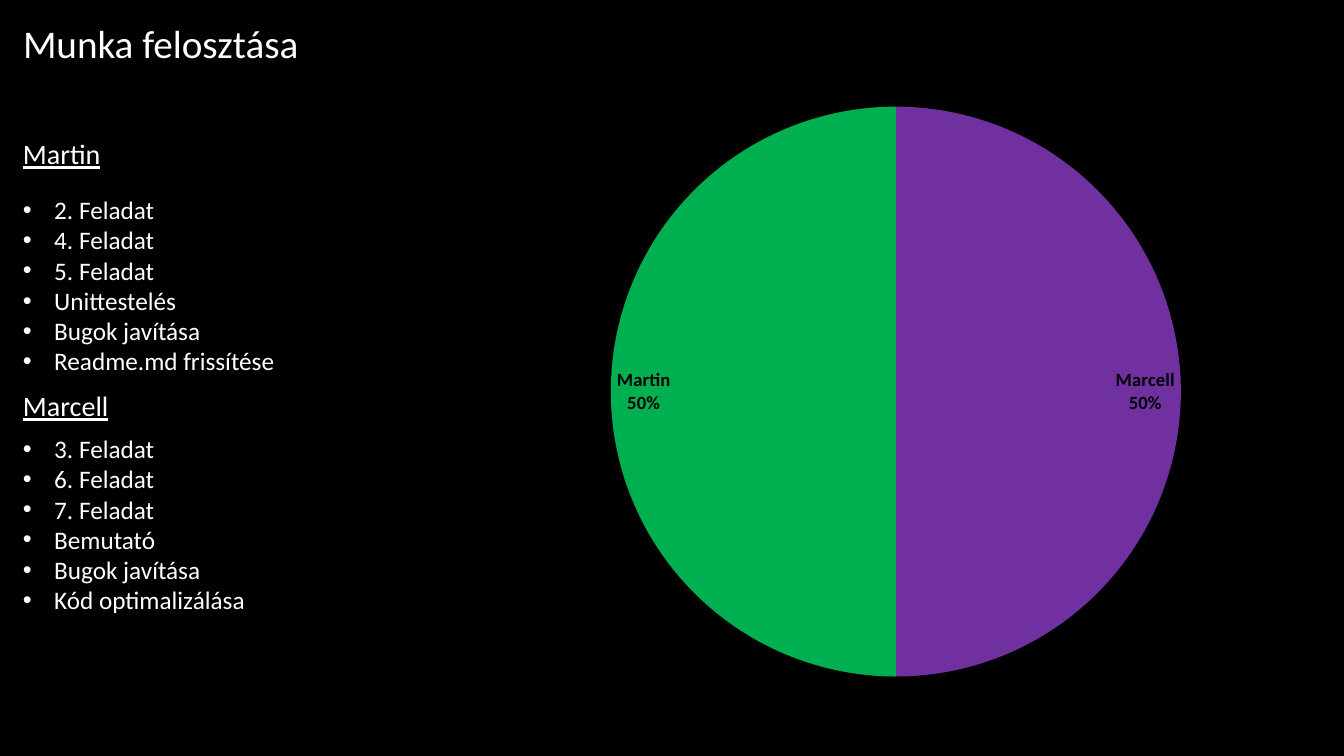
from lxml.etree import SubElement
from pptx import Presentation
from pptx.chart.data import CategoryChartData
from pptx.dml.color import RGBColor
from pptx.enum.chart import XL_CHART_TYPE, XL_LABEL_POSITION
from pptx.oxml.ns import qn
from pptx.util import Inches, Pt


def color(code):
    return RGBColor.from_string(code)


class Deck:
    font = "Calibri"
    ink = "FFFFFF"
    back = "000000"

    def __init__(self):
        self.file = Presentation()
        self.file.slide_width = Inches(13.33)
        self.file.slide_height = Inches(7.5)
        self.slide = self.file.slides.add_slide(self.file.slide_layouts[6])
        fill = self.slide.background.fill
        fill.solid()
        fill.fore_color.rgb = color(self.back)

    def style(self, font, size, code, bold=False):
        font.name = self.font
        font.size = Pt(size)
        font.bold = bold
        font.color.rgb = color(code)

    def text(self, words, top, width, height, size, line=False):
        box = self.slide.shapes.add_textbox(
            Inches(0.13), Inches(top), Inches(width), Inches(height))
        frame = box.text_frame
        frame.word_wrap = True
        frame.text = words
        for para in frame.paragraphs:
            for run in para.runs:
                self.style(run.font, size, self.ink)
                run.font.underline = line
        return frame

    def bullets(self, items, top, width):
        frame = self.text("\n".join(items), top, width, 1.92, 18)
        for para in frame.paragraphs:
            props = para._p.get_or_add_pPr()
            props.set("marL", str(Inches(0.31)))
            props.set("indent", str(-Inches(0.31)))
            SubElement(props, qn("a:buFont")).set("typeface", "Arial")
            SubElement(props, qn("a:buChar")).set("char", "•")

    def pie(self, shares, left, top, width, height):
        data = CategoryChartData()
        data.categories = [name for name, share, code in shares]
        data.add_series("Series 1", [share for name, share, code in shares])
        chart = self.slide.shapes.add_chart(
            XL_CHART_TYPE.PIE, Inches(left), Inches(top),
            Inches(width), Inches(height), data).chart
        chart.has_title = False
        chart.has_legend = False
        self.style(chart.font, 10, self.ink)
        plot = chart.plots[0]
        plot.vary_by_categories = True
        series = plot.series[0]
        for spot, (name, share, code) in enumerate(shares):
            part = series.points[spot].format
            part.fill.solid()
            part.fill.fore_color.rgb = color(code)
            part.line.fill.background()
        self.labels(series.data_labels)

    def labels(self, labels):
        labels.show_value = False
        labels.show_category_name = True
        labels.show_percentage = True
        labels.number_format = "0%"
        labels.number_format_is_linked = False
        labels.position = XL_LABEL_POSITION.INSIDE_END
        self.style(labels.font, 13.3, self.back, True)
        root = labels._element
        split = SubElement(root, qn("c:separator"))
        split.text = "\n"
        root.find(qn("c:showBubbleSize")).addnext(split)


def main():
    deck = Deck()
    deck.text("Munka felosztása", 0.14, 3.72, 0.57, 28)
    deck.pie([("Marcell", 50, "7030A0"), ("Martin", 50, "00B050")],
             4.44, 0.92, 8.89, 5.93)
    teams = [
        ("Martin", 1.31, 1.88, 2.9,
         ["2. Feladat", "4. Feladat", "5. Feladat", "Unittestelés",
          "Bugok javítása", "Readme.md frissítése"]),
        ("Marcell", 3.81, 4.25, 2.6,
         ["3. Feladat", "6. Feladat", "7. Feladat", "Bemutató",
          "Bugok javítása", "Kód optimalizálása"]),
    ]
    for name, head, top, width, tasks in teams:
        deck.text(name, head, 1.1, 0.44, 20, True)
        deck.bullets(tasks, top, width)
    deck.file.save("out.pptx")


if __name__ == "__main__":
    main()
